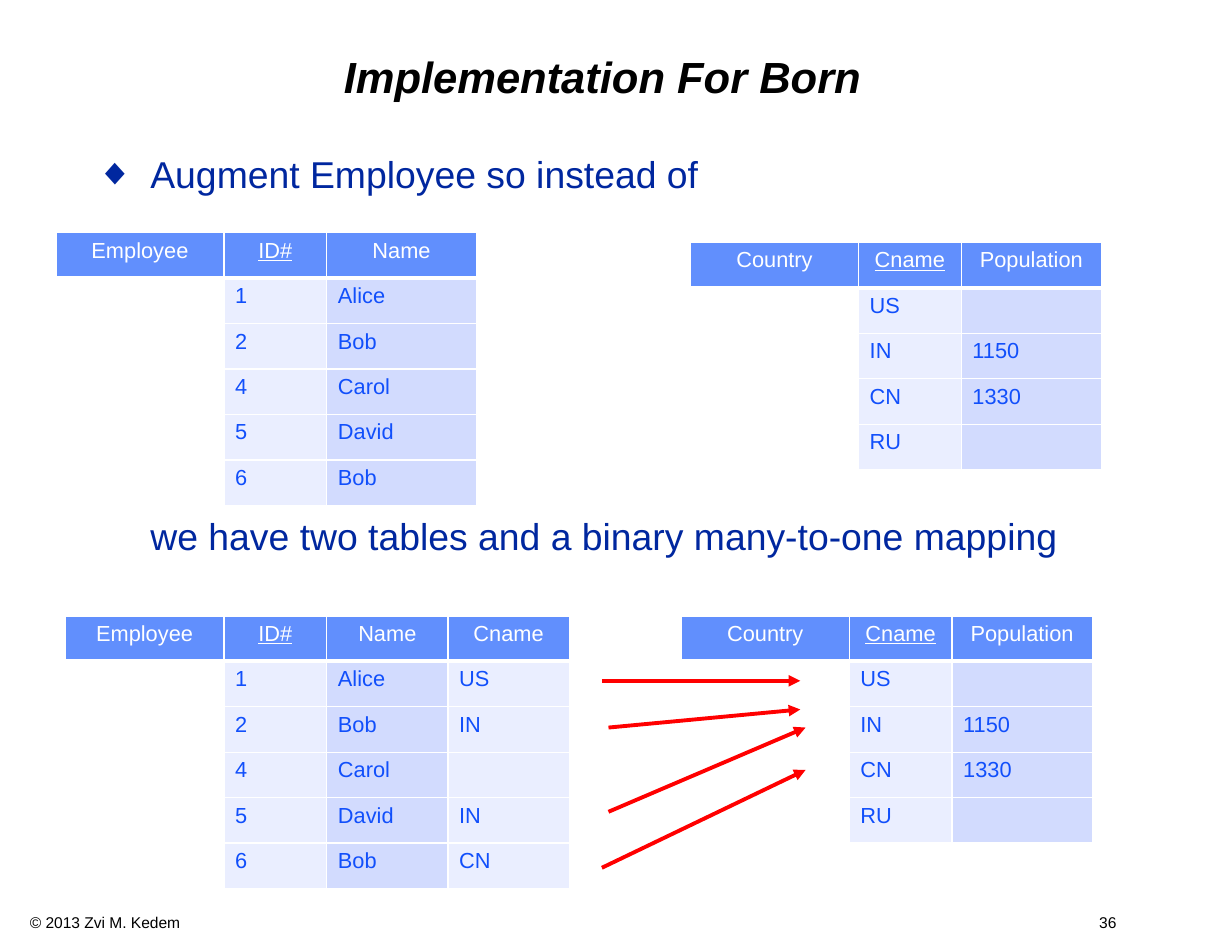
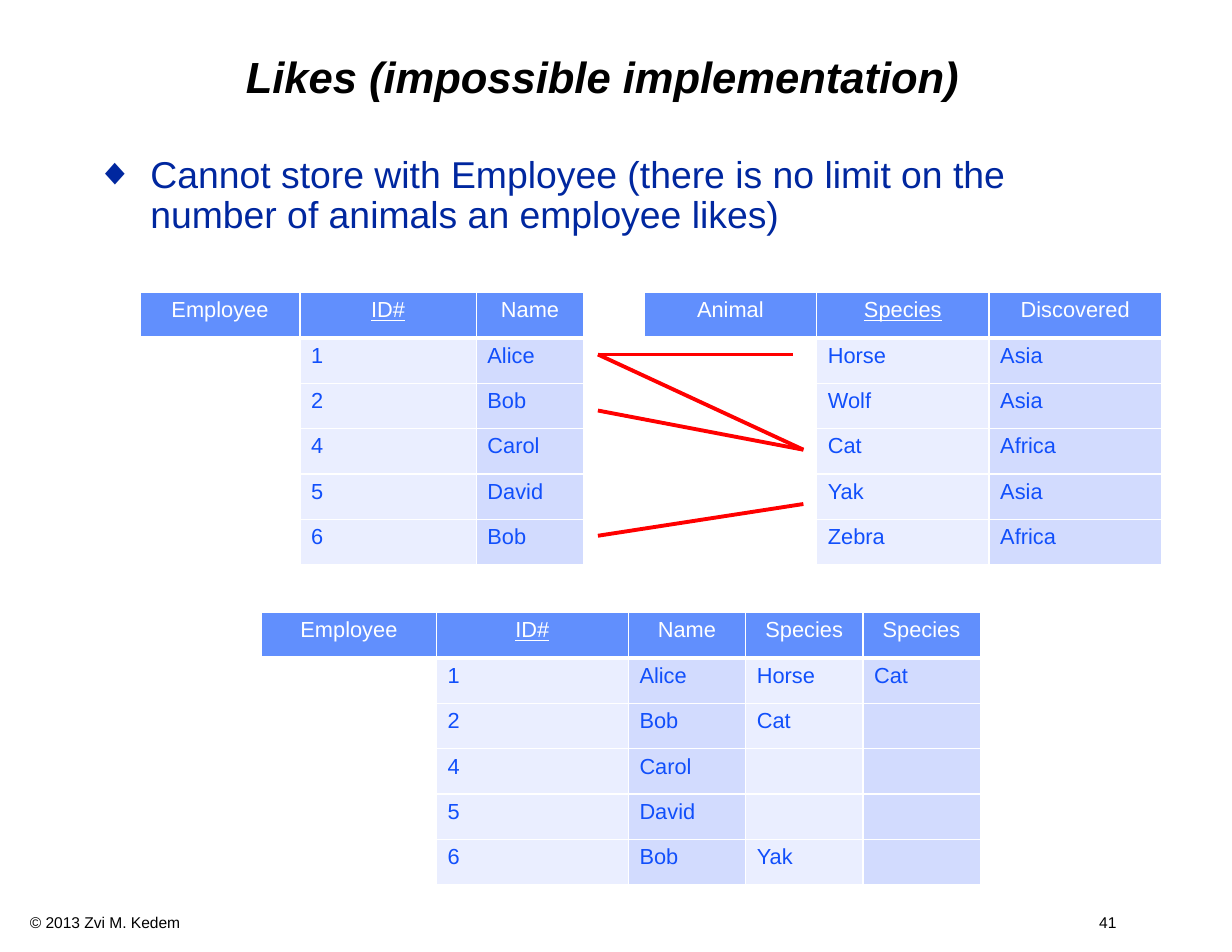
from lxml.etree import SubElement
from pptx import Presentation
from pptx.dml.color import RGBColor
from pptx.enum.shapes import MSO_CONNECTOR
from pptx.enum.text import MSO_ANCHOR, MSO_AUTO_SIZE, PP_ALIGN
from pptx.oxml.ns import qn
from pptx.util import Cm, Pt

BLACK, WHITE, RED = "000000", "FFFFFF", "FF0000"
NAVY, BLUE, HEADER = "00279F", "114FFB", "618FFD"
COLUMN_FILLS = ["EAEEFF", "D2DBFE"]
ROW_HEIGHT = Cm(1.03)
INDENT = Cm(1.22)

TITLE = {"name": "Arial", "size": Pt(28), "bold": True, "italic": True}
BODY = {"name": "Arial", "size": Pt(24)}
CELL = {"name": "Arial", "size": Pt(14), "bold": False}
FOOTER = {"name": "Arial", "size": Pt(10)}
FRAME = {"margin_left": Cm(0.28), "margin_right": Cm(0.28),
         "margin_top": Cm(0.15), "margin_bottom": Cm(0.15),
         "word_wrap": True, "auto_size": MSO_AUTO_SIZE.NONE}


def colour(value):
    return RGBColor.from_string(value)


def write(para, text, values, ink):
    span = para.add_run()
    span.text = text
    for name, value in values.items():
        setattr(span.font, name, value)
    span.font.color.rgb = colour(ink)
    return span


employees = [["1", "Alice"], ["2", "Bob"], ["4", "Carol"], ["5", "David"], ["6", "Bob"]]
birthplaces = [["US"], ["IN"], [""], ["IN"], ["CN"]]
likes = [["Horse", "Cat"], ["Cat", ""], ["", ""], ["", ""], ["Yak", ""]]
employee_head = ["Employee", "ID#", "Name"]
country_head = ["Country", "Cname", "Population"]
countries = [["US", ""], ["IN", "1150"], ["CN", "1330"], ["RU", ""]]
animal_head = ["Animal", "Species", "Discovered"]
animals = [["Horse", "Asia"], ["Wolf", "Asia"], ["Cat", "Africa"],
           ["Yak", "Asia"], ["Zebra", "Africa"]]
employees_born = [who + place for who, place in zip(employees, birthplaces)]
employees_like = [who + liked for who, liked in zip(employees, likes)]
country_widths = [3.81, 2.33, 3.18]

pages = [
    {
        "title": "Implementation For Born",
        "number": 36,
        "body": ["Augment Employee so instead of",
                 "we have two tables and a binary many-to-one mapping"],
        "tables": [
            (1.27, 5.28, [3.81, 2.33, 3.39], employee_head, employees),
            (1.48, 13.97, [3.6, 2.33, 2.75, 2.75], employee_head + ["Cname"], employees_born),
            (15.66, 5.5, country_widths, country_head, countries),
            (15.45, 13.97, country_widths, country_head, countries),
        ],
        "lines": [(13.65, 15.44, 18.15, 15.44), (13.8, 16.5, 18.15, 16.09),
                  (13.8, 18.41, 18.27, 16.5), (13.65, 19.68, 18.27, 17.46)],
        "arrows": True,
    },
    {
        "title": "Likes (impossible implementation)",
        "number": 41,
        "body": ["Cannot store with Employee (there is no limit on the "
                 "number of animals an employee likes)"],
        "tables": [
            (14.61, 6.63, [3.91] * 3, animal_head, animals),
            (3.18, 6.63, [3.62, 4, 2.44], employee_head, employees),
            (5.93, 13.89, [3.97, 4.35] + [2.66] * 3,
             employee_head + ["Species", "Species"], employees_like),
        ],
        "lines": [(13.56, 8.04, 18.22, 10.2), (13.56, 9.31, 18.22, 10.2),
                  (13.56, 12.15, 18.22, 11.43), (13.56, 8.04, 17.99, 8.04)],
        "arrows": False,
    },
]

deck = Presentation()
deck.slide_width, deck.slide_height = Cm(27.94), Cm(21.59)

for content in pages:
    page = deck.slides.add_slide(deck.slide_layouts[1])

    footer = page.shapes.add_textbox(Cm(0.43), Cm(20.58), Cm(26.26), Cm(0.69))
    footer.text_frame.word_wrap = True
    para = footer.text_frame.paragraphs[0]
    write(para, f"© 2013 Zvi M. Kedem\t{content['number']}", FOOTER, BLACK)
    tabs = SubElement(para._p.get_or_add_pPr(), qn("a:tabLst"))
    SubElement(tabs, qn("a:tab"), pos=str(Cm(24.64)), algn="r")

    title, body = page.shapes.title, page.placeholders[1]
    for box, place in [(title, (1.91, 0.64, 23.5, 2.34)), (body, (1.91, 3.39, 23.7, 16.94))]:
        box.left, box.top, box.width, box.height = map(Cm, place)
        for name, value in FRAME.items():
            setattr(box.text_frame, name, value)
    title.text_frame.vertical_anchor = MSO_ANCHOR.MIDDLE
    para = title.text_frame.paragraphs[0]
    para.alignment, para.line_spacing = PP_ALIGN.CENTER, 0.9
    write(para, content["title"], TITLE, BLACK)

    body.text_frame.vertical_anchor = MSO_ANCHOR.TOP
    for index, text in enumerate(content["body"]):
        para = body.text_frame.add_paragraph() if index else body.text_frame.paragraphs[0]
        para.line_spacing = 0.9
        para.space_before = Cm(7.3 * index)
        write(para, text, BODY, NAVY)
        layout = para._p.get_or_add_pPr()
        layout.set("marL", str(INDENT))
        layout.set("indent", str(0 if index else -INDENT))
        if index:
            SubElement(layout, qn("a:buNone"))
        else:
            SubElement(SubElement(layout, qn("a:buClr")), qn("a:srgbClr"), val=NAVY)
            SubElement(layout, qn("a:buFont"), typeface="Arial")
            SubElement(layout, qn("a:buChar"), char="◆")

    for left, top, widths, head, records in content["tables"]:
        rows = [head] + [[""] + record for record in records]
        table = page.shapes.add_table(len(rows), len(head), Cm(left), Cm(top),
                                      Cm(sum(widths)), ROW_HEIGHT * len(rows)).table
        for column, width in zip(table.columns, widths):
            column.width = Cm(width)
        for r, row in enumerate(rows):
            table.rows[r].height = ROW_HEIGHT
            for c, text in enumerate(row):
                cell = table.cell(r, c)
                for side in ["lnL", "lnR", "lnT", "lnB"]:
                    thick = (r == 0 and side == "lnB") or (r == 1 and side == "lnT")
                    edge = SubElement(cell._tc.get_or_add_tcPr(), qn("a:" + side),
                                      w=str(Pt(3 if thick else 1)))
                    SubElement(SubElement(edge, qn("a:solidFill")), qn("a:srgbClr"), val=WHITE)
                cell.fill.solid()
                body_fill = COLUMN_FILLS[(c - 1) % 2] if c else WHITE
                cell.fill.fore_color.rgb = colour(body_fill if r else HEADER)
                para = cell.text_frame.paragraphs[0]
                if r == 0:
                    para.alignment = PP_ALIGN.CENTER
                if text:
                    span = write(para, text, CELL, BLUE if r else WHITE)
                    span.font.underline = r == 0 and c == 1

    for ends in content["lines"]:
        line = page.shapes.add_connector(MSO_CONNECTOR.STRAIGHT, *map(Cm, ends))
        line.line.color.rgb = colour(RED)
        line.line.width = Pt(2.5)
        if content["arrows"]:
            SubElement(line.line._get_or_add_ln(), qn("a:tailEnd"), type="triangle")
        SubElement(line._element.spPr, qn("a:effectLst"))

deck.save("out.pptx")
